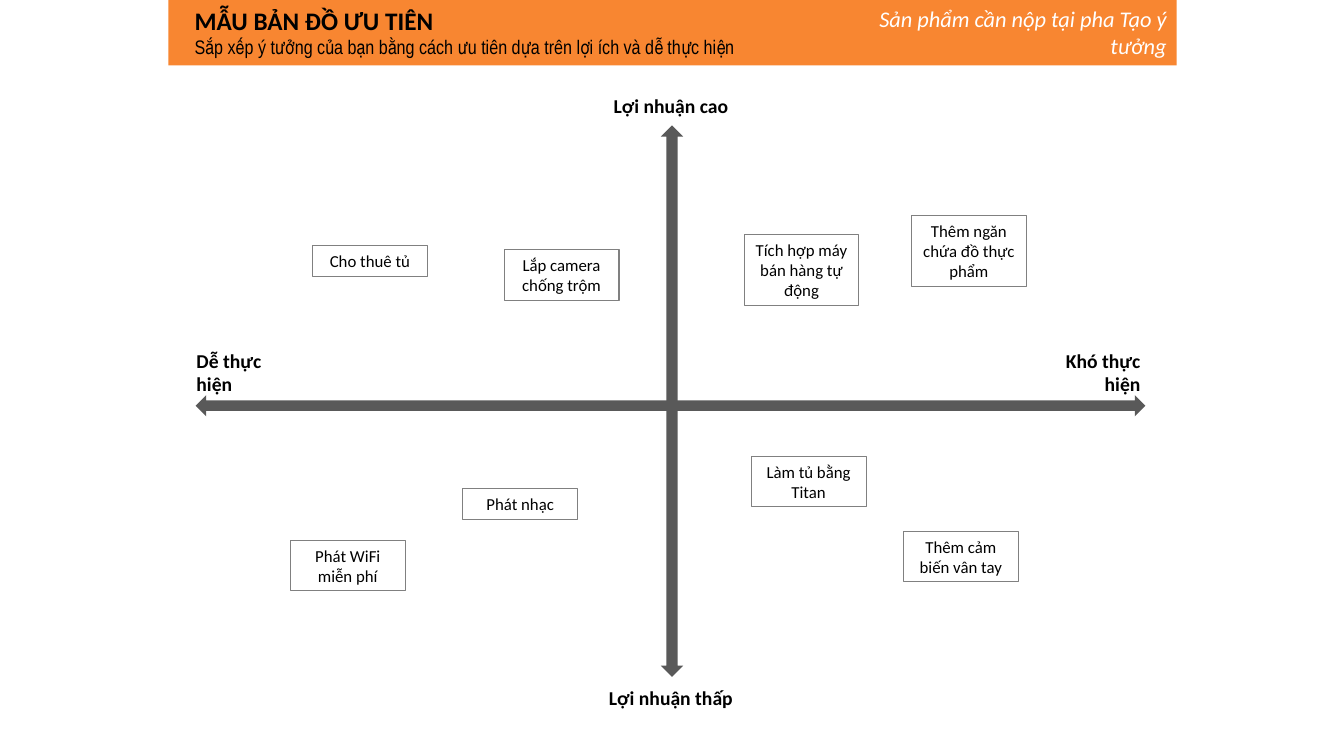
from pptx import Presentation
from pptx.dml.color import RGBColor
from pptx.enum import shapes, text
from pptx.util import Inches, Pt

ORANGE = RGBColor(0xF8, 0x86, 0x31)
DARK_GRAY = RGBColor(0x59, 0x59, 0x59)
MID_GRAY = RGBColor(0x80, 0x80, 0x80)
BLACK = RGBColor(0, 0, 0)
WHITE = RGBColor(0xFF, 0xFF, 0xFF)

LEFT, CENTER, RIGHT = text.PP_ALIGN.LEFT, text.PP_ALIGN.CENTER, text.PP_ALIGN.RIGHT
RECTANGLE = shapes.MSO_SHAPE.RECTANGLE
ARROW = shapes.MSO_SHAPE.LEFT_RIGHT_ARROW

AXES = [(2.08, 2.99, 5.47, 0.22, 90), (0.09, 3.04, 9.42, 0.21, 0)]
LABELS = [
    ("Lợi nhuận cao", 3.92, 0, 1.77, 0.34, CENTER),
    ("Lợi nhuận thấp", 3.92, 5.88, 1.77, 0.34, CENTER),
    ("Dễ thực hiện", 0, 2.53, 1.21, 0.57, LEFT),
    ("Khó thực hiện", 8.35, 2.53, 1.21, 0.57, RIGHT),
]
IDEAS = [
    ("Cho thuê tủ", 1.25, 1.56, 1),
    ("Lắp camera chống trộm", 3.15, 1.6, 2),
    ("Tích hợp máy bán hàng tự động", 5.53, 1.45, 3),
    ("Thêm ngăn chứa đồ thực phẩm", 7.19, 1.26, 3),
    ("Phát WiFi miễn phí", 1.03, 4.48, 2),
    ("Phát nhạc", 2.74, 3.97, 1),
    ("Làm tủ bằng Titan", 5.6, 3.65, 2),
    ("Thêm cảm biến vân tay", 7.11, 4.39, 2),
]


def style_paragraph(paragraph, size, color=BLACK, align=LEFT, name="Calibri", bold=False, italic=False):
    """Set the alignment and font of a whole paragraph."""
    paragraph.alignment = align
    font = paragraph.font
    font.name, font.size, font.bold, font.italic = name, Pt(size), bold, italic
    font.color.rgb = color


def add_box(slide, kind, left, top, width, height, fill=None, line=None):
    """Add a flat preset shape with optional fill and outline."""
    shape = slide.shapes.add_shape(kind, *map(Inches, (left, top, width, height)))
    shape.shadow.inherit = False
    if fill is None:
        shape.fill.background()
    else:
        shape.fill.solid()
        shape.fill.fore_color.rgb = fill
    if line is None:
        shape.line.fill.background()
    else:
        shape.line.color.rgb = line
        shape.line.width = Pt(0.75)
    return shape


def add_text(slide, words, left, top, width, height, size, **style):
    """Add a wrapped one-paragraph text box."""
    box = slide.shapes.add_textbox(*map(Inches, (left, top, width, height)))
    box.text_frame.word_wrap = True
    box.text_frame.text = words
    style_paragraph(box.text_frame.paragraphs[0], size, **style)


def add_header(slide, left, top, width, height):
    """Place the orange band, the title with its subtitle, and the phase note."""
    band = add_box(slide, RECTANGLE, left, top, width, height, fill=ORANGE)
    slide.shapes._spTree.insert(2, band._element)
    title = slide.shapes.title
    title.left, title.top = Inches(left + 0.16), Inches(top)
    title.width, title.height = Inches(6.12), Inches(height)
    frame = title.text_frame
    frame.auto_size = text.MSO_AUTO_SIZE.NONE
    frame.vertical_anchor = text.MSO_ANCHOR.TOP
    frame.text = ("MẪU BẢN ĐỒ ƯU TIÊN\n"
                  "Sắp xếp ý tưởng của bạn bằng cách ưu tiên dựa trên lợi ích và dễ thực hiện")
    heading, subtitle = frame.paragraphs
    style_paragraph(heading, 18, bold=True)
    style_paragraph(subtitle, 14, name="Arial Narrow")
    add_text(slide, "Sản phẩm cần nộp tại pha Tạo ý tưởng", left + width - 3.13, top, 3.13, height,
             16, color=WHITE, align=RIGHT, italic=True)


def add_idea(slide, words, left, top, lines):
    """Add an outlined idea note as tall as its number of lines."""
    note = add_box(slide, RECTANGLE, left, top, 1.14, 0.1 + 0.2 * lines, line=MID_GRAY)
    note.text_frame.word_wrap = True
    note.text_frame.text = words
    style_paragraph(note.text_frame.paragraphs[0], 12, align=CENTER)


def add_priority_map(slide, left, top):
    """Place the two axes, their end labels and the ideas from the map's corner."""
    for x, y, width, height, rotation in AXES:
        axis = add_box(slide, ARROW, left + x, top + y, width, height, fill=DARK_GRAY)
        axis.rotation = rotation
    for words, x, y, width, height, align in LABELS:
        add_text(slide, words, left + x, top + y, width, height, 14, align=align, bold=True)
    for words, x, y, lines in IDEAS:
        add_idea(slide, words, left + x, top + y, lines)


def main():
    """Build and save the presentation."""
    presentation = Presentation()
    presentation.slide_width, presentation.slide_height = Inches(13.33), Inches(7.5)
    slide = presentation.slides.add_slide(presentation.slide_layouts[5])
    add_header(slide, 1.67, 0, 10, 0.65)
    add_priority_map(slide, 1.85, 0.88)
    presentation.save("out.pptx")


if __name__ == "__main__":
    main()
